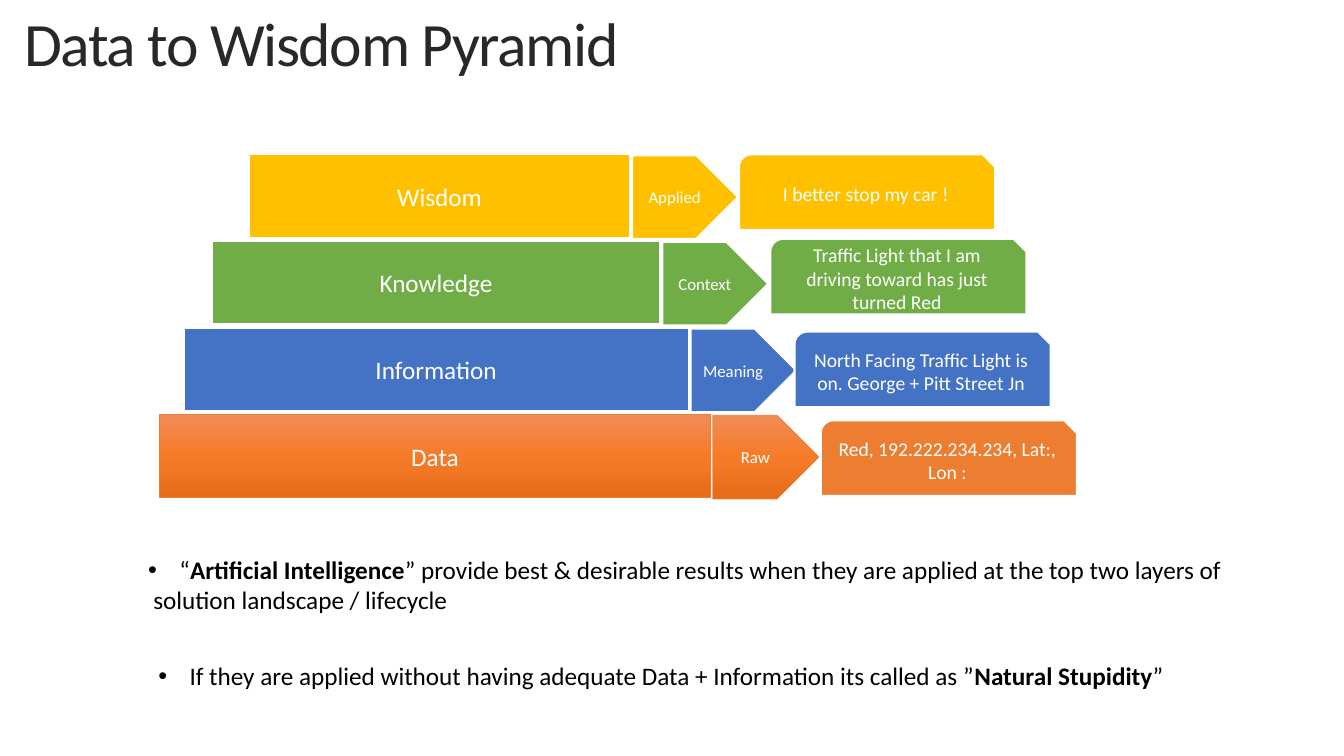
from copy import deepcopy

from pptx import Presentation
from pptx.dml.color import RGBColor
from pptx.enum.shapes import MSO_SHAPE
from pptx.enum.text import MSO_ANCHOR, MSO_AUTO_SIZE, PP_ALIGN
from pptx.oxml.ns import qn
from pptx.util import Inches, Pt

RECTANGLE = MSO_SHAPE.RECTANGLE
PENTAGON = MSO_SHAPE.PENTAGON
SNIP_ROUND = MSO_SHAPE.SNIP_ROUND_RECTANGLE
LEFT, CENTER = PP_ALIGN.LEFT, PP_ALIGN.CENTER
TOP, MIDDLE = MSO_ANCHOR.TOP, MSO_ANCHOR.MIDDLE
FIT_SHAPE, NO_FIT = MSO_AUTO_SIZE.SHAPE_TO_FIT_TEXT, MSO_AUTO_SIZE.NONE

# Content
TITLE = "Data to Wisdom Pyramid"
ORANGE = "ED7D31"
ORANGE_GRADIENT = ["F18C57", "F67B28", "E56C19"]

# level, arrow label, example, colour, bar left, bar width, example left, example top
LEVELS = [
    ("Wisdom", "Applied", "I better stop my car !", "FFC000", 2.47, 3.78, 7.33, 1.53),
    ("Knowledge", "Context", "Traffic Light that I am driving toward has just turned Red",
     "70AD47", 2.1, 4.45, 7.64, 2.37),
    ("Information", "Meaning", "North Facing Traffic Light is on. George + Pitt Street Jn",
     "4472C4", 1.82, 5.01, 7.88, 3.29),
    ("Data", "Raw", "Red, 192.222.234.234, Lat:, Lon :", ORANGE, 1.58, 5.47, 8.14, 4.17),
]

# box, then paragraphs as (bulleted, [(text, bold), ...])
NOTES = [
    ((1.37, 5.45, 10.94, 0.71), [
        (True, [("“", False), ("Artificial Intelligence", True),
                ("” provide best & desirable results when they are applied "
                 "at the top two layers of", False)]),
        (False, [("solution landscape / lifecycle", False)]),
    ]),
    ((1.47, 6.5, 10.46, 0.4), [
        (True, [("If they are applied without having adequate Data + Information "
                 "its called as ”", False),
                ("Natural Stupidity", True), ("”", False)]),
    ]),
]

# Layout
BAR_TOP, BAR_HEIGHT, BAR_PITCH = 1.53, 0.83, 0.86
ARROW_WIDTH, ARROW_GAP, ARROW_DROP = 1.05, 0.02, 0.01
EXAMPLE_WIDTH, EXAMPLE_HEIGHT = 2.54, 0.75
BULLET_INDENT, PLAIN_INDENT = 0.31, 0.05


def color(hex_value):
    return RGBColor.from_string(hex_value)


def write(paragraph, text, size=18, hex_value="FFFFFF", bold=False, align=CENTER, spacing=None):
    """Add a formatted run to a paragraph."""
    paragraph.alignment = align
    run = paragraph.add_run()
    run.text = text
    run.font.name = "Calibri"
    run.font.size = Pt(size)
    run.font.bold = bold
    run.font.color.rgb = color(hex_value)
    if spacing is not None:
        run.font._element.set("spc", str(spacing))


def place(shape, box):
    shape.left, shape.top, shape.width, shape.height = [Inches(value) for value in box]


def fill_gradient(shape, hex_values):
    """Fill from top to bottom through three evenly spaced colours."""
    shape.fill.gradient()
    shape.fill.gradient_angle = 270
    stop_list = shape._element.spPr.find(qn("a:gradFill")).find(qn("a:gsLst"))
    stop_list.append(deepcopy(stop_list[-1]))
    for index, (stop, hex_value) in enumerate(zip(shape.fill.gradient_stops, hex_values)):
        stop.position = index / (len(hex_values) - 1)
        stop.color.rgb = color(hex_value)


def add_block(slide, kind, box, text, size, hex_value, gradient=False, inset=0.1):
    shape = slide.shapes.add_shape(kind, *[Inches(value) for value in box])
    shape.shadow.inherit = False
    if gradient:
        fill_gradient(shape, ORANGE_GRADIENT)
    else:
        shape.fill.solid()
        shape.fill.fore_color.rgb = color(hex_value)
    shape.line.color.rgb = color(hex_value if gradient else "FFFFFF")
    shape.line.width = Pt(0.5 if gradient else 1.5)
    frame = shape.text_frame
    frame.word_wrap = True
    frame.vertical_anchor = MIDDLE
    frame.margin_left = frame.margin_right = Inches(inset)
    write(frame.paragraphs[0], text, size=size)


def set_bullet(paragraph, bulleted):
    properties = paragraph._p.get_or_add_pPr()
    indent = BULLET_INDENT if bulleted else PLAIN_INDENT
    properties.set("marL", str(Inches(indent)))
    properties.set("indent", str(-Inches(indent) if bulleted else 0))
    if bulleted:
        properties.append(properties.makeelement(qn("a:buFont"), {"typeface": "Arial"}))
        properties.append(properties.makeelement(qn("a:buChar"), {"char": "•"}))
    else:
        properties.append(properties.makeelement(qn("a:buNone"), {}))


def add_note(placeholder, box, paragraphs):
    place(placeholder, box)
    frame = placeholder.text_frame
    frame.word_wrap = True
    frame.auto_size = FIT_SHAPE
    frame.vertical_anchor = TOP
    for index, (bulleted, runs) in enumerate(paragraphs):
        paragraph = frame.add_paragraph() if index else frame.paragraphs[0]
        set_bullet(paragraph, bulleted)
        paragraph.space_before = Pt(0)
        for text, bold in runs:
            write(paragraph, text, hex_value="000000", bold=bold, align=LEFT)


def main():
    presentation = Presentation()
    presentation.slide_width = Inches(13.33)
    presentation.slide_height = Inches(7.5)
    slide = presentation.slides.add_slide(presentation.slide_layouts[3])
    title, *note_placeholders = slide.placeholders

    # Title
    place(title, (0.14, 0.08, 13.19, 0.89))
    title.text_frame.vertical_anchor = TOP
    title.text_frame.auto_size = NO_FIT
    heading = title.text_frame.paragraphs[0]
    heading.line_spacing = 0.9
    write(heading, TITLE, size=44, hex_value="282828", align=LEFT, spacing=-100)

    # Pyramid rows: bar, arrow, example
    for index, row in enumerate(LEVELS):
        level, label, example, hex_value, left, width, example_left, example_top = row
        top = BAR_TOP + index * BAR_PITCH
        gradient = hex_value == ORANGE
        add_block(slide, RECTANGLE, (left, top, width, BAR_HEIGHT),
                  level, 18, hex_value, gradient)
        add_block(slide, PENTAGON,
                  (left + width + ARROW_GAP, top + ARROW_DROP, ARROW_WIDTH, BAR_HEIGHT),
                  label, 12, hex_value, gradient, inset=0.04)
        add_block(slide, SNIP_ROUND,
                  (example_left, example_top, EXAMPLE_WIDTH, EXAMPLE_HEIGHT),
                  example, 14, hex_value)

    # Notes below the pyramid
    for placeholder, (box, paragraphs) in zip(note_placeholders, NOTES):
        add_note(placeholder, box, paragraphs)

    presentation.save("out.pptx")


if __name__ == "__main__":
    main()
